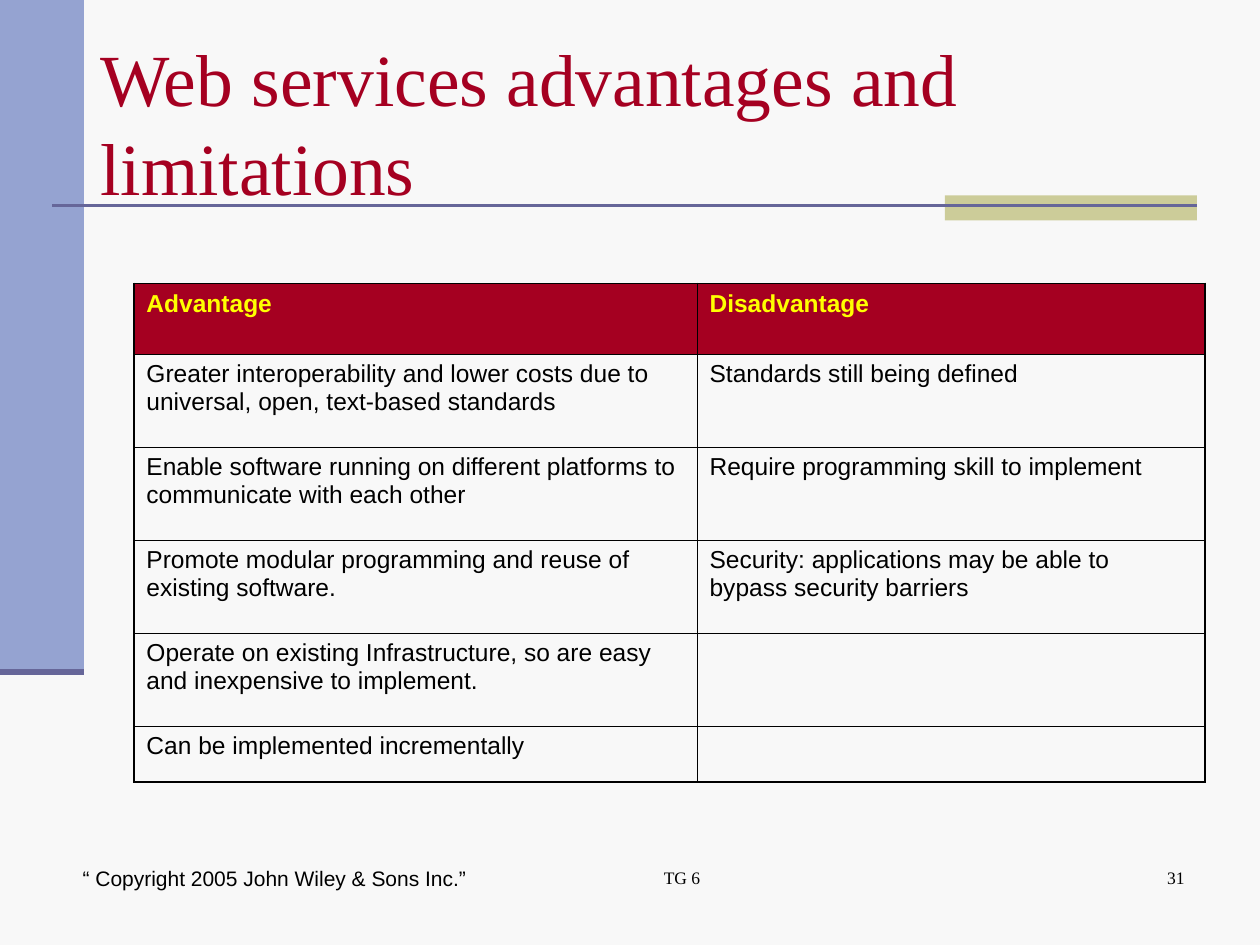
from lxml import etree
from pptx import Presentation
from pptx.dml.color import RGBColor
from pptx.enum.shapes import MSO_CONNECTOR, MSO_SHAPE
from pptx.enum.text import MSO_ANCHOR, PP_ALIGN
from pptx.oxml.ns import qn
from pptx.util import Pt

BLACK, CRIMSON, YELLOW = "000000", "A50021", "FFFF00"
SLATE = "666699"


def rgb(color):
    return RGBColor.from_string(color)


def write(frame, text, size=14, font="Arial", color=BLACK, bold=False,
          align=PP_ALIGN.LEFT, line_spacing=None):
    frame.word_wrap = True
    paragraph = frame.paragraphs[0]
    paragraph.alignment = align
    paragraph.line_spacing = line_spacing
    run = paragraph.add_run()
    run.text = text
    run.font.size = Pt(size)
    run.font.name = font
    run.font.bold = bold
    run.font.color.rgb = rgb(color)


presentation = Presentation()
presentation.slide_width, presentation.slide_height = Pt(720), Pt(540)
slide = presentation.slides.add_slide(presentation.slide_layouts[6])
slide.background.fill.solid()
slide.background.fill.fore_color.rgb = rgb("F8F8F8")

# Side band, accent bar and rules
for left, top, width, height, color in [
    (0, 0, 48, 384, "95A3D1"),
    (540, 111.6, 144, 14.4, "CCCC99"),
]:
    shape = slide.shapes.add_shape(
        MSO_SHAPE.RECTANGLE, Pt(left), Pt(top), Pt(width), Pt(height))
    shape.shadow.inherit = False
    shape.fill.solid()
    shape.fill.fore_color.rgb = rgb(color)
    shape.line.fill.background()

for start, end, y, weight in [(30, 684, 117.6, 1.5), (0, 48, 384, 3.5)]:
    rule = slide.shapes.add_connector(
        MSO_CONNECTOR.STRAIGHT, Pt(start), Pt(y), Pt(end), Pt(y))
    rule.line.color.rgb = rgb(SLATE)
    rule.line.width = Pt(weight)
    etree.SubElement(rule._element.spPr, qn("a:effectLst"))

# Title and footer
title = slide.shapes.add_textbox(Pt(50.4), Pt(15), Pt(684), Pt(108)).text_frame
title.vertical_anchor = MSO_ANCHOR.MIDDLE
write(title, "Web services advantages and limitations", size=42,
      font="Times New Roman", color=CRIMSON, line_spacing=Pt(51))

copyright_box = slide.shapes.add_textbox(Pt(25.2), Pt(491), Pt(263.5), Pt(21.6))
write(copyright_box.text_frame, "“ Copyright 2005 John Wiley & Sons Inc.”",
      size=12, align=PP_ALIGN.CENTER)

for text, left, width, align in [
    ("TG 6", 264, 234, PP_ALIGN.CENTER),
    ("31", 534, 150, PP_ALIGN.RIGHT),
]:
    footer = slide.shapes.add_textbox(Pt(left), Pt(492), Pt(width), Pt(36)).text_frame
    footer.margin_left = Pt(24.5)
    write(footer, text, size=10, font="Times New Roman", align=align)

# Table
rows = [
    ("Advantage", "Disadvantage"),
    ("Greater interoperability and lower costs due to universal, open, "
     "text-based standards", "Standards still being defined"),
    ("Enable software running on different platforms to communicate with "
     "each other", "Require programming skill to implement"),
    ("Promote modular programming and reuse of existing software.",
     "Security: applications may be able to bypass security barriers"),
    ("Operate on existing Infrastructure, so are easy and inexpensive to "
     "implement.", ""),
    ("Can be implemented incrementally", ""),
]
row_heights = [40.3] + [53.2] * 4 + [31.7]
column_widths = [321.8, 290.2]
last_row, last_column = len(rows) - 1, len(column_widths) - 1

table = slide.shapes.add_table(
    len(rows), len(column_widths), Pt(76.5), Pt(162),
    Pt(sum(column_widths)), Pt(sum(row_heights))).table
for column, width in zip(table.columns, column_widths):
    column.width = Pt(width)

for r, (texts, height) in enumerate(zip(rows, row_heights)):
    table.rows[r].height = Pt(height)
    for c, text in enumerate(texts):
        cell = table.cell(r, c)
        properties = cell._tc.get_or_add_tcPr()
        outer_edges = {"lnL": c == 0, "lnR": c == last_column,
                       "lnT": r == 0, "lnB": r == last_row}
        for tag, is_outer in outer_edges.items():
            border = etree.SubElement(properties, qn(f"a:{tag}"),
                                      w=str(Pt(1.08 if is_outer else 0.45)))
            fill = etree.SubElement(border, qn("a:solidFill"))
            etree.SubElement(fill, qn("a:srgbClr"), val=BLACK)
        if r == 0:
            cell.fill.solid()
            cell.fill.fore_color.rgb = rgb(CRIMSON)
        else:
            cell.fill.background()
        if text:
            write(cell.text_frame, text, bold=r == 0,
                  color=YELLOW if r == 0 else BLACK)

presentation.save("out.pptx")
